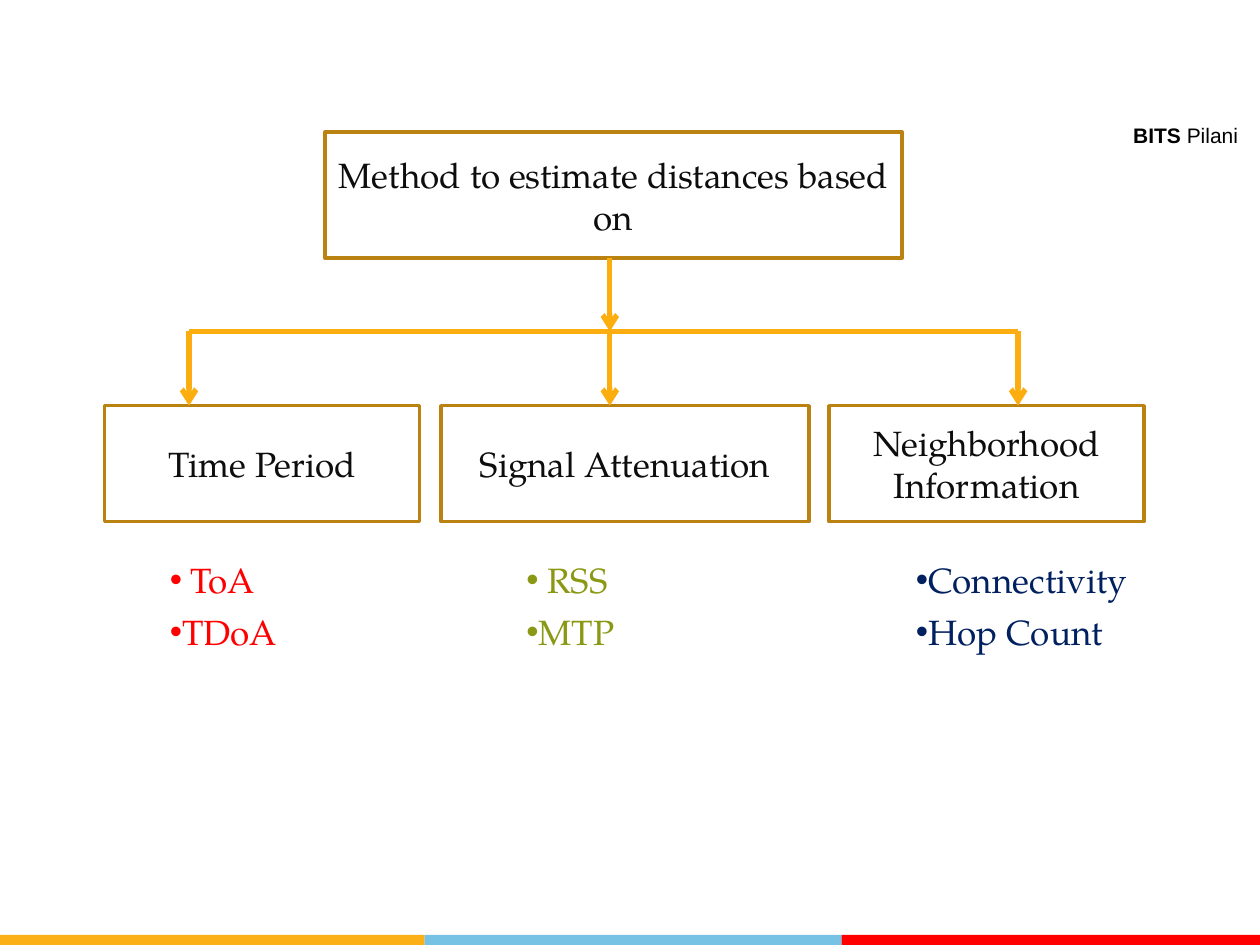
from lxml import etree
from pptx import Presentation
from pptx import util as u
from pptx.dml.color import RGBColor
from pptx.enum import shapes, text
from pptx.oxml import ns

INK, EDGE, GOLD = "0D0D0D", "BA8211", "FCAE11"


def color(code):
    return RGBColor.from_string(code)


def add_tag(parent, tag, **attrs):
    return etree.SubElement(parent, ns.qn(tag), attrs)


class Board:
    face = "TeX Gyre Pagella"
    size = 20

    def __init__(self, slide):
        self.items = slide.shapes

    def style(self, run, tint, face=None, size=None, bold=False):
        font = run.font
        font.name = face or self.face
        font.size = u.Pt(size or self.size)
        font.bold = bold
        font.color.rgb = color(tint)

    def rect(self, x, y, w, h):
        shape = self.items.add_shape(
            shapes.MSO_SHAPE.RECTANGLE, *map(u.Inches, (x, y, w, h)))
        shape.shadow.inherit = False
        return shape

    def band(self, x, y, w, h, tint):
        shape = self.rect(x, y, w, h)
        shape.fill.solid()
        shape.fill.fore_color.rgb = color(tint)
        shape.line.fill.background()

    def box(self, x, y, w, h, label):
        shape = self.rect(x, y, w, h)
        shape.fill.background()
        shape.line.color.rgb = color(EDGE)
        shape.line.width = u.Pt(2)
        frame = shape.text_frame
        frame.text = label
        frame.word_wrap = True
        frame.vertical_anchor = text.MSO_ANCHOR.MIDDLE
        para = frame.paragraphs[0]
        para.alignment = text.PP_ALIGN.CENTER
        self.style(para.runs[0], INK)

    def line(self, x1, y1, x2, y2, arrow=True):
        link = self.items.add_connector(
            shapes.MSO_CONNECTOR.STRAIGHT, *map(u.Inches, (x1, y1, x2, y2)))
        link.line.color.rgb = color(GOLD)
        link.line.width = u.Pt(3)
        if arrow:
            add_tag(link.line._get_or_add_ln(), "a:tailEnd", type="arrow")
        add_tag(link._element.spPr, "a:effectLst")

    def frame(self, x, y, w, h):
        frame = self.items.add_textbox(*map(u.Inches, (x, y, w, h))).text_frame
        frame.word_wrap = True
        return frame

    def bullets(self, x, y, w, h, lines, tint):
        frame = self.frame(x, y, w, h)
        frame.auto_size = text.MSO_AUTO_SIZE.SHAPE_TO_FIT_TEXT
        frame.text = "\n".join(lines)
        for i, para in enumerate(frame.paragraphs):
            props = para._p.get_or_add_pPr()
            props.set("marL", "0")
            props.set("indent", str(u.Inches(0.25)))
            add_tag(props, "a:buFont", typeface="Arial")
            add_tag(props, "a:buChar", char="•")
            if i:
                para.space_before = u.Pt(6)
            self.style(para.runs[0], tint)

    def mark(self, x, y, w, h, parts):
        para = self.frame(x, y, w, h).paragraphs[0]
        para.alignment = text.PP_ALIGN.CENTER
        for words, bold in parts:
            run = para.add_run()
            run.text = words
            self.style(run, "000000", "Arial", 12, bold)


def main():
    deck = Presentation()
    deck.slide_width, deck.slide_height = u.Inches(10), u.Inches(7.5)
    board = Board(deck.slides.add_slide(deck.slide_layouts[6]))

    edges = (0, 3.37, 6.68, 10)
    for left, right, tint in zip(edges, edges[1:], ("FCB017", "76C2E5", "FF0000")):
        board.band(left, 7.42, right - left, 0.08, tint)
    board.mark(8.85, 0.92, 1.12, 0.29, (("BITS", True), (" Pilani", False)))

    root, bar, top = 2.05, 2.63, 3.22
    left, mid, right = 1.5, 4.84, 8.08
    board.box(2.58, 1.05, 4.58, 1, "Method to estimate distances based on")
    board.line(left, bar, right, bar, arrow=False)
    board.line(mid, root, mid, bar)

    groups = (
        (0.83, 2.5, "Time Period", left, 1, (" ToA", "TDoA"), "FF0000"),
        (3.5, 2.92, "Signal Attenuation", mid, 3.83, (" RSS", "MTP"), "8B9813"),
        (6.58, 2.5, "Neighborhood Information", right, 6.92,
         ("Connectivity", "Hop Count"), "002060"),
    )
    for x, w, label, stem, list_x, lines, tint in groups:
        board.box(x, top, w, 0.92, label)
        board.line(stem, bar, stem, top)
        board.bullets(list_x, 4.38, 2.33, 0.86, lines, tint)

    deck.save("out.pptx")


if __name__ == "__main__":
    main()
